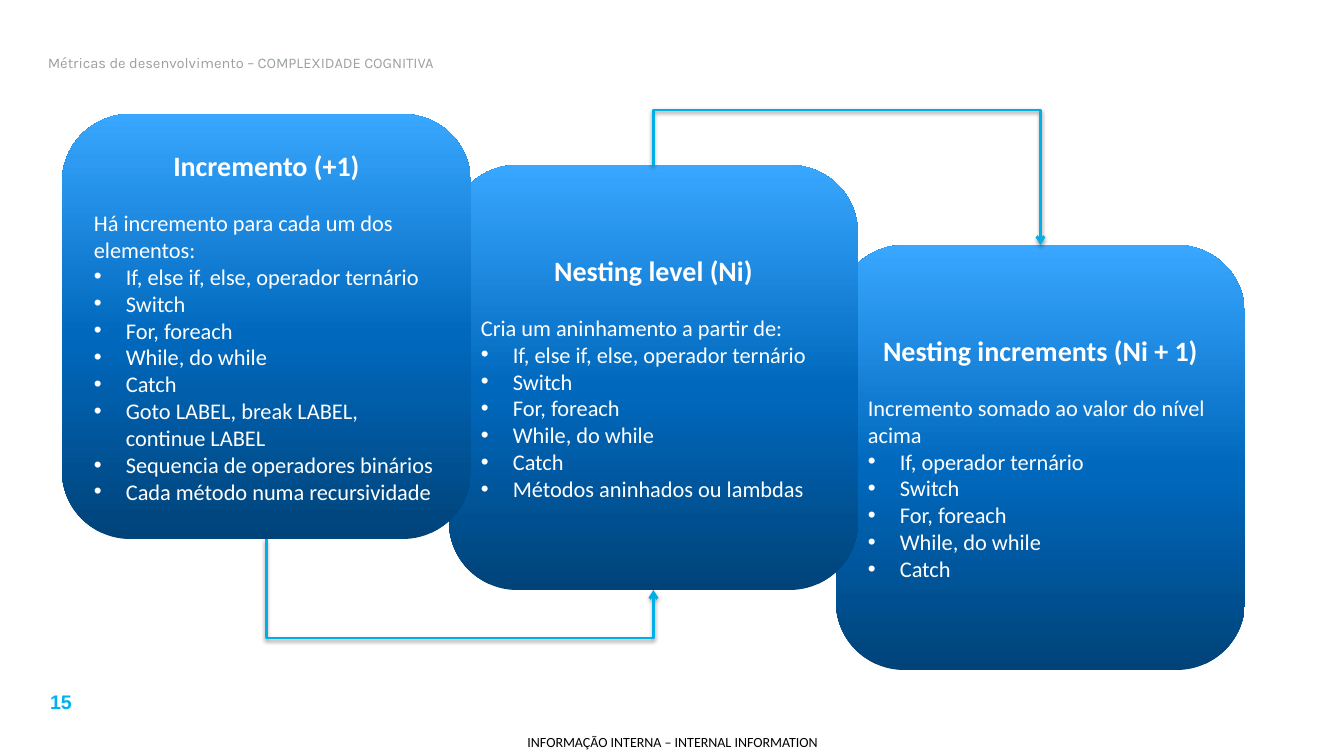
from copy import deepcopy

from lxml import etree
from pptx import Presentation
from pptx.dml.color import RGBColor
from pptx.enum.shapes import MSO_CONNECTOR, MSO_SHAPE
from pptx.enum.text import MSO_ANCHOR, PP_ALIGN
from pptx.oxml.ns import qn
from pptx.util import Emu, Pt

ROUNDED = MSO_SHAPE.ROUNDED_RECTANGLE
ELBOW = MSO_CONNECTOR.ELBOW
TOP, MIDDLE = MSO_ANCHOR.TOP, MSO_ANCHOR.MIDDLE
LEFT, CENTER = PP_ALIGN.LEFT, PP_ALIGN.CENTER

SLIDE_WIDTH, SLIDE_HEIGHT = 1344, 756
CARD_WIDTH, CARD_HEIGHT = 409, 425
CARD_LEFT, CARD_STEP = 62, 387
CARD_INSET = 12
BULLET_INDENT = 32

COLORS = {
    "white": "FFFFFF",
    "black": "000000",
    "title": "9BA0A0",
    "number": "00B0F0",
    "arrow": "00AFE6",
}
CARD_GRADIENT = [(0, "004379"), (0.48, "0069BE"), (1, "39A7FF")]

CARDS = [
    (114, "Incremento (+1)", "Há incremento para cada um dos elementos:",
     ["If, else if, else, operador ternário", "Switch", "For, foreach",
      "While, do while", "Catch", "Goto LABEL, break LABEL, continue LABEL",
      "Sequencia de operadores binários", "Cada método numa recursividade"]),
    (165, "Nesting level (Ni)", "Cria um aninhamento a partir de:",
     ["If, else if, else, operador ternário", "Switch", "For, foreach",
      "While, do while", "Catch", "Métodos aninhados ou lambdas"]),
    (245, "Nesting increments (Ni + 1)",
     "Incremento somado ao valor do nível acima",
     ["If, operador ternário", "Switch", "For, foreach", "While, do while",
      "Catch"]),
]


def px(length):
    return Emu(round(length * 914400 / 100.8))


def add_element(parent, tag, **attributes):
    return etree.SubElement(parent, qn(tag), attributes)


def style(paragraph, size, color, font="Calibri", bold=False, align=LEFT):
    paragraph.alignment = align
    paragraph.font.size = Pt(size)
    paragraph.font.name = font
    paragraph.font.bold = bold
    paragraph.font.color.rgb = RGBColor.from_string(COLORS[color])


def set_insets(frame, inset):
    frame.margin_left = frame.margin_right = px(inset)
    frame.margin_top = frame.margin_bottom = px(inset)


def add_label(page, bounds, text, size, color, anchor=MIDDLE, inset=None,
              **looks):
    box = page.shapes.add_textbox(*map(px, bounds))
    frame = box.text_frame
    frame.word_wrap = True
    frame.vertical_anchor = anchor
    if inset is not None:
        set_insets(frame, inset)
    frame.text = text
    style(frame.paragraphs[0], size, color, **looks)


def fill_gradient(shape, stops):
    shape.fill.gradient()
    shape.fill.gradient_angle = 90
    stop_list = shape._element.spPr.find(qn("a:gradFill")).find(qn("a:gsLst"))
    while len(stop_list) < len(stops):
        stop_list.append(deepcopy(stop_list[-1]))
    for stop, (position, color) in zip(shape.fill.gradient_stops, stops):
        stop.position = position
        stop.color.rgb = RGBColor.from_string(color)


def add_bullet(paragraph):
    properties = paragraph._p.get_or_add_pPr()
    properties.set("marL", str(px(BULLET_INDENT)))
    properties.set("indent", str(-px(BULLET_INDENT)))
    add_element(properties, "a:buFont", typeface="Arial")
    add_element(properties, "a:buChar", char="•")


def add_card(page, left, top, heading, intro, items):
    card = page.shapes.add_shape(
        ROUNDED, px(left), px(top), px(CARD_WIDTH), px(CARD_HEIGHT))
    card.shadow.inherit = False
    card.line.fill.background()
    fill_gradient(card, CARD_GRADIENT)
    frame = card.text_frame
    frame.word_wrap = True
    frame.vertical_anchor = MIDDLE
    set_insets(frame, CARD_INSET)
    frame.text = "\n".join([heading, intro, *items])
    title, lead, *bullets = frame.paragraphs
    style(title, 20, "white", bold=True, align=CENTER)
    title.space_after = Pt(19.5)
    style(lead, 16, "white")
    for paragraph in bullets:
        add_bullet(paragraph)
        style(paragraph, 16, "white")


def add_elbow_arrow(page, start, end, bend):
    run, drop = end[0] - start[0], end[1] - start[1]
    left = (start[0] + end[0] - drop) / 2
    top = (start[1] + end[1] - run) / 2
    arrow = page.shapes.add_connector(
        ELBOW, px(left), px(top), px(left + drop), px(top + run))
    arrow.line.width = Pt(2)
    arrow.line.color.rgb = RGBColor.from_string(COLORS["arrow"])
    properties = arrow._element.spPr
    frame = properties.find(qn("a:xfrm"))
    frame.set("rot", "16200000")
    frame.set("flipH", "1")
    guides = properties.find(qn("a:prstGeom")).find(qn("a:avLst"))
    ratio = round((bend - start[1]) / drop * 100000)
    add_element(guides, "a:gd", name="adj1", fmla=f"val {ratio}")
    add_element(properties.find(qn("a:ln")), "a:tailEnd", type="arrow")
    effects = add_element(properties, "a:effectLst")
    shadow = add_element(effects, "a:outerShdw", blurRad=str(Pt(3.1)),
                         dist=str(Pt(1.6)), dir="5400000", rotWithShape="0")
    tone = add_element(shadow, "a:srgbClr", val=COLORS["black"])
    add_element(tone, "a:alpha", val="38000")


def main():
    deck = Presentation()
    deck.slide_width, deck.slide_height = px(SLIDE_WIDTH), px(SLIDE_HEIGHT)
    page = deck.slides.add_slide(deck.slide_layouts[6])

    add_label(page, (21, 685, 80, 34), "15", 14, "number", anchor=TOP,
              font="Arial", bold=True, align=CENTER)
    add_label(page, (507, 727, 331, 29),
              "INFORMAÇÃO INTERNA – INTERNAL INFORMATION", 10, "black",
              inset=0, align=CENTER)
    add_label(page, (38, 38, 1198, 50),
              "Métricas de desenvolvimento – COMPLEXIDADE COGNITIVA", 10.5,
              "title", font="Karla")

    lefts = [CARD_LEFT + CARD_STEP * index for index in range(len(CARDS))]
    for left, card in reversed(list(zip(lefts, CARDS))):
        add_card(page, left, *card)

    first, second, third = [left + CARD_WIDTH / 2 for left in lefts]
    first_top, second_top, third_top = [card[0] for card in CARDS]
    add_elbow_arrow(page, (second, second_top), (third, third_top), 110)
    add_elbow_arrow(page, (first, first_top + CARD_HEIGHT),
                    (second, second_top + CARD_HEIGHT), 638)

    deck.save("out.pptx")


if __name__ == "__main__":
    main()
